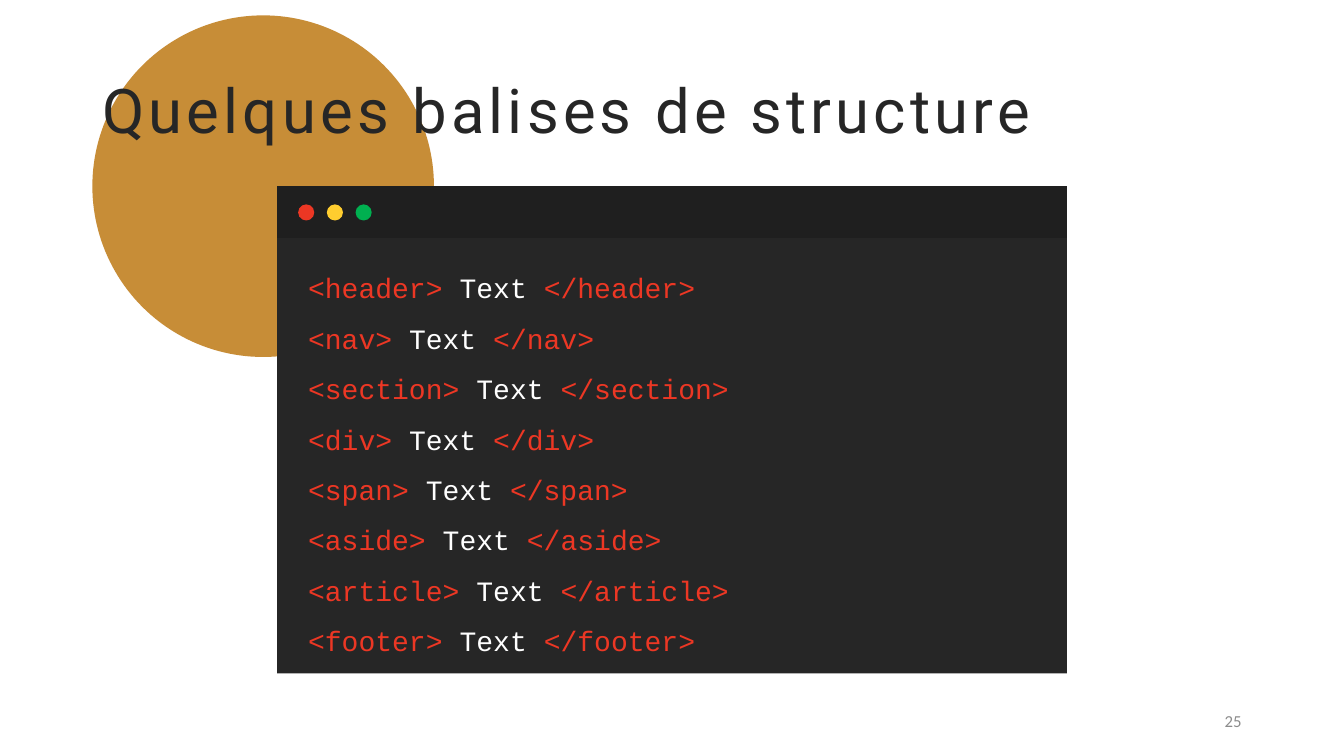
import pptx
import pptx.util
import pptx.dml.color
import pptx.enum.shapes
import pptx.enum.text
import pptx.oxml
import pptx.oxml.ns

Pt = pptx.util.Pt
SHAPE = pptx.enum.shapes.MSO_SHAPE
ALIGN = pptx.enum.text.PP_ALIGN
ANCHOR = pptx.enum.text.MSO_ANCHOR

COLOURS = {
    "ochre": "BA7106",
    "window": "262626",
    "title_bar": "1F1F1F",
    "red": "EC3724",
    "yellow": "FFCD2F",
    "green": "00B050",
    "white": "FFFFFF",
    "grey": "8C8C8C",
}
TAGS = ["header", "nav", "section", "div", "span", "aside", "article", "footer"]


class SlideBuilder:
    """Hold the palette and the current slide, and draw its elements."""

    def __init__(self, page, colours):
        self.page = page
        self.colours = colours

    def colour(self, name):
        return pptx.dml.color.RGBColor.from_string(self.colours[name])

    def shape(self, kind, left, top, width, height, fill, opacity=100):
        shape = self.page.shapes.add_shape(kind, Pt(left), Pt(top), Pt(width), Pt(height))
        shape.shadow.inherit = False
        shape.fill.solid()
        shape.fill.fore_color.rgb = self.colour(fill)
        shape.line.fill.background()
        if opacity < 100:
            namespace = pptx.oxml.ns.nsdecls("a")
            alpha = pptx.oxml.parse_xml(f'<a:alpha {namespace} val="{opacity * 1000}"/>')
            shape.fill._xPr.find(".//" + pptx.oxml.ns.qn("a:srgbClr")).append(alpha)

    def text(self, left, top, width, height, lines, font, size, anchor=ANCHOR.MIDDLE,
             align=ALIGN.LEFT, line_spacing=1.0, letter_spacing=0):
        box = self.page.shapes.add_textbox(Pt(left), Pt(top), Pt(width), Pt(height))
        frame = box.text_frame
        frame.word_wrap = True
        frame.vertical_anchor = anchor
        for index, spans in enumerate(lines):
            para = frame.add_paragraph() if index else frame.paragraphs[0]
            para.alignment = align
            para.line_spacing = line_spacing
            for words, colour in spans:
                span = para.add_run()
                span.text = words
                span.font.name = font
                span.font.size = Pt(size)
                span.font.color.rgb = self.colour(colour)
                if letter_spacing:
                    span.font._element.set("spc", str(letter_spacing * 100))

    def code_window(self, left, top, width, height, bar_height):
        self.shape(SHAPE.RECTANGLE, left, top + bar_height, width, height - bar_height, "window")
        self.shape(SHAPE.RECTANGLE, left, top, width, bar_height, "title_bar")
        for index, fill in enumerate(["red", "yellow", "green"]):
            self.shape(SHAPE.OVAL, left + 15 + index * 20.5, top + 13, 11.5, 11.5, fill)


def main():
    deck = pptx.Presentation()
    deck.slide_width = Pt(960)
    deck.slide_height = Pt(540)
    page = deck.slides.add_slide(deck.slide_layouts[6])
    builder = SlideBuilder(page, COLOURS)

    builder.shape(SHAPE.OVAL, 66, 11, 244, 244, "ochre", opacity=80)
    builder.code_window(198, 133, 564, 348, bar_height=37)
    builder.text(66, 28.75, 828, 104.4, [[("Quelques balises de structure", "window")]],
                 "Roboto", 44, line_spacing=0.9, letter_spacing=3)
    code = [[(f"<{tag}>", "red"), (" Text ", "white"), (f"</{tag}>", "red")] for tag in TAGS]
    builder.text(213, 178, 413, 293, code, "Courier New", 20,
                 anchor=ANCHOR.TOP, line_spacing=1.5)
    builder.text(678, 500.5, 216, 28.75, [[("25", "grey")]], "Calibri", 12, align=ALIGN.RIGHT)

    deck.save("out.pptx")


if __name__ == "__main__":
    main()
